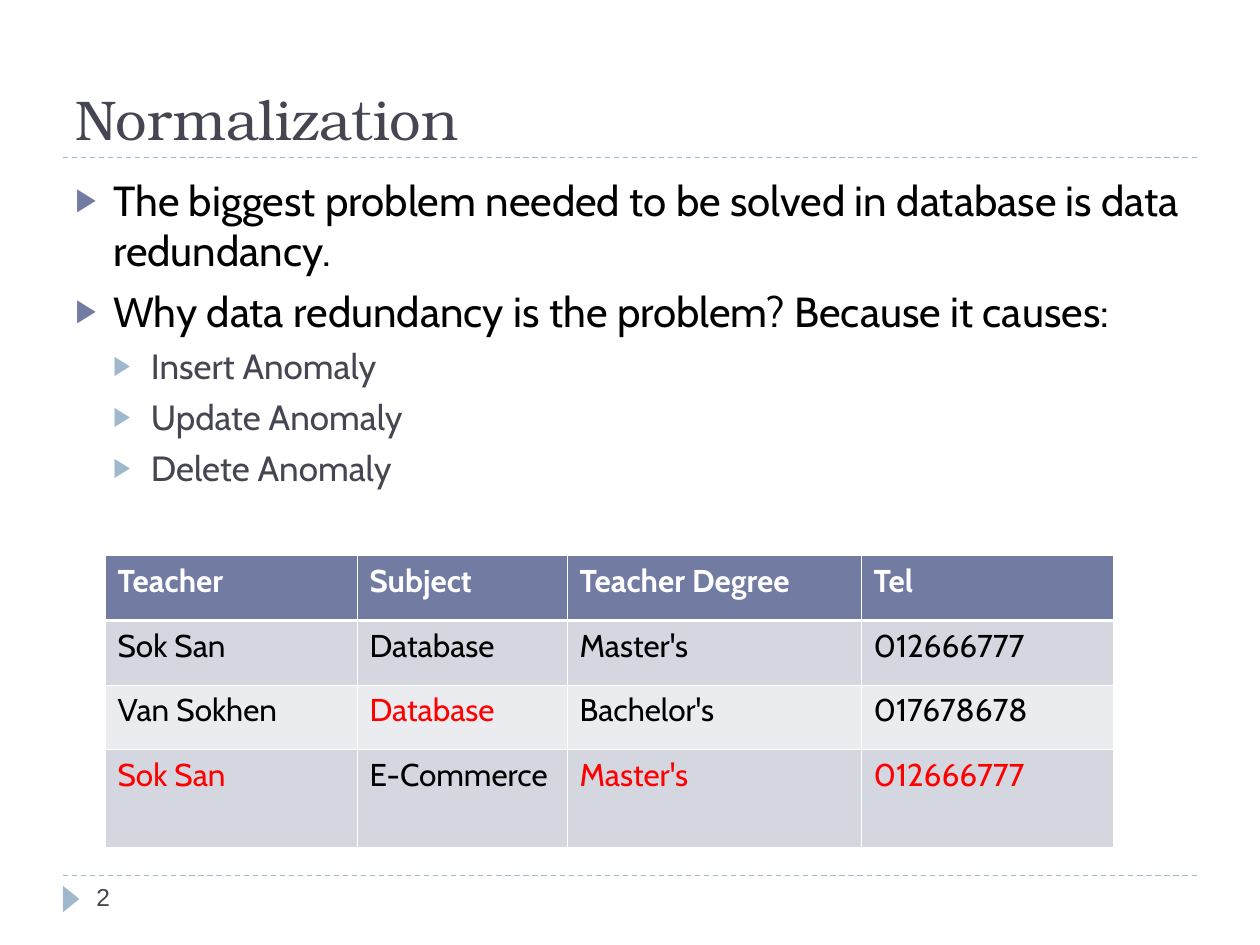
from lxml import etree
from pptx import Presentation
from pptx.dml.color import RGBColor
from pptx.enum.dml import MSO_LINE
from pptx.enum.shapes import MSO_CONNECTOR, MSO_SHAPE
from pptx.enum.text import MSO_ANCHOR
from pptx.oxml.ns import qn
from pptx.util import Pt

DASH = MSO_LINE.DASH
STRAIGHT = MSO_CONNECTOR.STRAIGHT
TRIANGLE = MSO_SHAPE.ISOSCELES_TRIANGLE
TOP, BOTTOM = MSO_ANCHOR.TOP, MSO_ANCHOR.BOTTOM

COLORS = {
    "title": "464653", "black": "000000", "white": "FFFFFF",
    "repeated": "FF0000", "accent": "727CA3", "light_accent": "9FB8CD",
    "odd_row": "D5D7E0", "even_row": "EBECF0",
}
HEADING_FONT, BODY_FONT, NUMBER_FONT = "TeX Gyre Bonum", "Cabin", "Arial"

# level, wording
POINTS = [
    (0, "The biggest problem needed to be solved in database is data redundancy."),
    (0, "Why data redundancy is the problem? Because it causes:"),
    (1, "Insert Anomaly"),
    (1, "Update Anomaly"),
    (1, "Delete Anomaly"),
]
# size, text colour, bullet colour, space before
LEVELS = [(24, "black", "accent", 6), (20, "title", "light_accent", 5)]
INDENT = 21.6

HEADER = ["Teacher", "Subject", "Teacher Degree", "Tel"]
TEACHERS = [
    ["Sok San", "Database", "Master's", "012666777"],
    ["Van Sokhen", "Database", "Bachelor's", "017678678"],
    ["Sok San", "E-Commerce", "Master's", "012666777"],
]
COLUMN_WIDTHS = [144, 120, 168, 144]
ROW_HEIGHTS = [37, 37, 37, 56]


def rgb(name):
    return RGBColor.from_string(COLORS[name])


def add_run(paragraph, text, size, font, color, bold=False):
    run = paragraph.add_run()
    run.text = text
    run.font.size = Pt(size)
    run.font.name = font
    run.font.bold = bold
    run.font.color.rgb = rgb(color)


def add_frame(slide, left, top, width, height, anchor=TOP):
    box = slide.shapes.add_textbox(Pt(left), Pt(top), Pt(width), Pt(height))
    frame = box.text_frame
    frame.word_wrap = True
    frame.vertical_anchor = anchor
    return frame


def add_rule(slide, left, y, width):
    rule = slide.shapes.add_connector(STRAIGHT, Pt(left), Pt(y), Pt(left + width), Pt(y))
    rule.line.color.rgb = rgb("light_accent")
    rule.line.width = Pt(0.75)
    rule.line.dash_style = DASH
    etree.SubElement(rule.element.spPr, qn("a:effectLst"))


def add_bullet(paragraph, level, color):
    properties = paragraph._p.get_or_add_pPr()
    properties.set("marL", str(Pt(INDENT * (level + 1))))
    properties.set("indent", str(-Pt(INDENT)))
    bullet_color = etree.SubElement(properties, qn("a:buClr"))
    etree.SubElement(bullet_color, qn("a:srgbClr"), val=COLORS[color])
    etree.SubElement(properties, qn("a:buSzPct"), val="76000")
    etree.SubElement(properties, qn("a:buFont"), typeface=NUMBER_FONT)
    etree.SubElement(properties, qn("a:buChar"), char="▶")


def add_title(slide, left, top, width, height):
    """Place the title with a dashed rule along the bottom of its box."""
    add_rule(slide, left, top + height, width)
    frame = add_frame(slide, left, top, width, height, BOTTOM)
    add_run(frame.paragraphs[0], "Normalization", 32, HEADING_FONT, "title")


def add_points(slide, left, top, width, height):
    frame = add_frame(slide, left, top, width, height)
    for index, (level, text) in enumerate(POINTS):
        size, color, bullet_color, space = LEVELS[level]
        paragraph = frame.add_paragraph() if index else frame.paragraphs[0]
        paragraph.level = level
        paragraph.space_before = Pt(space if index else 0)
        add_bullet(paragraph, level, bullet_color)
        add_run(paragraph, text, size, BODY_FONT, color)


def add_borders(cell, top_width, bottom_width):
    properties = cell._tc.get_or_add_tcPr()
    widths = {"a:lnL": 0.45, "a:lnR": 0.45, "a:lnT": top_width, "a:lnB": bottom_width}
    for position, (side, width) in enumerate(widths.items()):
        border = etree.Element(qn(side), w=str(Pt(width)))
        fill = etree.SubElement(border, qn("a:solidFill"))
        etree.SubElement(fill, qn("a:srgbClr"), val=COLORS["white"])
        properties.insert(position, border)


def add_teacher_table(slide, left, top):
    """Place the table; a value already seen higher in its column is red."""
    rows = [HEADER] + TEACHERS
    table = slide.shapes.add_table(
        len(rows), len(HEADER), Pt(left), Pt(top),
        Pt(sum(COLUMN_WIDTHS)), Pt(sum(ROW_HEIGHTS))).table
    for column, width in zip(table.columns, COLUMN_WIDTHS):
        column.width = Pt(width)
    for row, height in zip(table.rows, ROW_HEIGHTS):
        row.height = Pt(height)
    for r, values in enumerate(rows):
        is_header = r == 0
        row_fill = "accent" if is_header else "odd_row" if r % 2 else "even_row"
        for c, text in enumerate(values):
            repeated = text in [earlier[c] for earlier in rows[:r]]
            color = "white" if is_header else "repeated" if repeated else "black"
            cell = table.cell(r, c)
            cell.fill.solid()
            cell.fill.fore_color.rgb = rgb(row_fill)
            add_borders(cell, 1.47 if r == 1 else 0.45, 1.47 if is_header else 0.45)
            add_run(cell.text_frame.paragraphs[0], text, 18, BODY_FONT, color, is_header)


def add_footer(slide, left, top, width):
    """Place the rule, the arrow pointing right and the slide number."""
    add_rule(slide, left, top, width)
    arrow = slide.shapes.add_shape(
        TRIANGLE, Pt(left - 2.9), Pt(top + 8.6), Pt(15.1), Pt(9.4))
    arrow.rotation = 90
    arrow.shadow.inherit = False
    arrow.fill.solid()
    arrow.fill.fore_color.rgb = rgb("light_accent")
    arrow.line.fill.background()
    frame = add_frame(slide, left + 12, top, 156, 28.8)
    add_run(frame.paragraphs[0], "2", 14, NUMBER_FONT, "title")


def main():
    presentation = Presentation()
    presentation.slide_width, presentation.slide_height = Pt(720), Pt(540)
    slide = presentation.slides.add_slide(presentation.slide_layouts[6])
    add_title(slide, 36, 12, 648, 78)
    add_points(slide, 36, 96, 648, 389)
    add_footer(slide, 36, 500.4, 648)
    add_teacher_table(slide, 60, 317.5)
    presentation.save("out.pptx")


if __name__ == "__main__":
    main()
